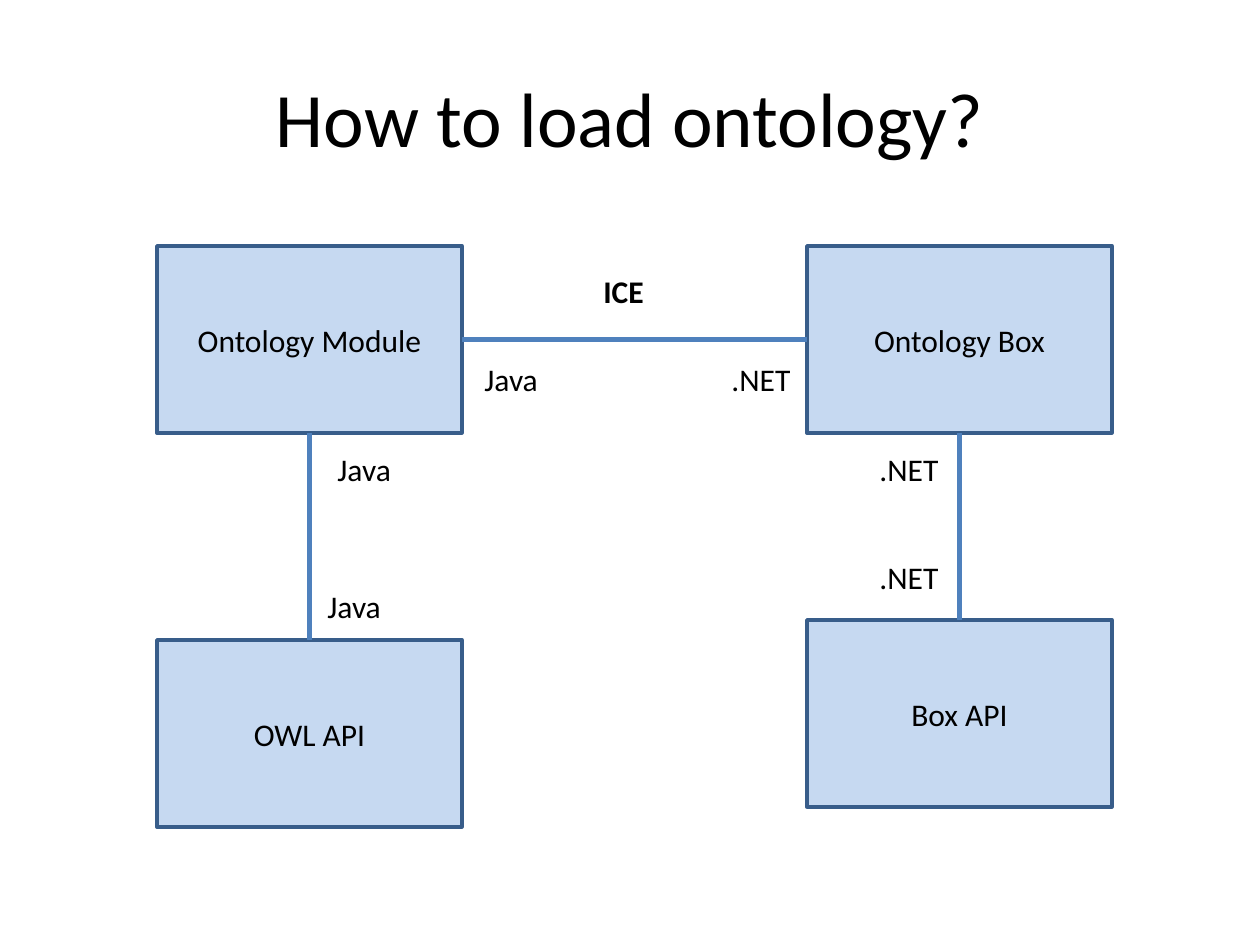
from pptx import Presentation
from pptx.dml.color import RGBColor as Rgb
from pptx.enum.shapes import MSO_CONNECTOR as Conn, MSO_SHAPE as Shape
from pptx.enum.text import MSO_ANCHOR as Anchor, MSO_AUTO_SIZE as Fit, PP_ALIGN as Align
from pptx.oxml.ns import qn
from pptx.util import Emu, Pt
from lxml.etree import SubElement

SCALE = 914400 / 126

THEME = {
    "ink": Rgb.from_string("000000"),
    "fill": Rgb.from_string("C6D9F1"),
    "edge": Rgb.from_string("385D8A"),
    "link": Rgb.from_string("4F81BD"),
    "font": "Calibri",
    "title": Pt(44),
    "body": Pt(18),
    "rim": Pt(2),
    "wire": Pt(3),
}

NODE_W, NODE_H = 305, 187
TOP, RIGHT, BOTTOM, LEFT = 0, 3, 2, 1  # connection sites of a rectangle


def px(*nums):
    return [Emu(round(n * SCALE)) for n in nums]


def style(item, form):
    for name, value in form.items():
        setattr(item, name, value)


def write(shape, text, size, bold=False, align=Align.LEFT, **frame):
    style(shape.text_frame, frame)
    para = shape.text_frame.paragraphs[0]
    para.alignment = align
    run = para.add_run()
    run.text = text
    style(run.font, {"name": THEME["font"], "size": size, "bold": bold})
    run.font.color.rgb = THEME["ink"]


def node(slide, x, y, text):
    box = slide.shapes.add_shape(Shape.RECTANGLE, *px(x, y, NODE_W, NODE_H))
    box.shadow.inherit = False
    box.fill.solid()
    box.fill.fore_color.rgb = THEME["fill"]
    box.line.color.rgb = THEME["edge"]
    box.line.width = THEME["rim"]
    write(box, text, THEME["body"], align=Align.CENTER,
          vertical_anchor=Anchor.MIDDLE, word_wrap=True)
    return box


def label(slide, x, y, w, text, bold=False):
    box = slide.shapes.add_textbox(*px(x, y, w, 50))
    write(box, text, THEME["body"], bold,
          word_wrap=False, auto_size=Fit.SHAPE_TO_FIT_TEXT)


def link(slide, start, exit, end, entry):
    line = slide.shapes.add_connector(Conn.STRAIGHT, 0, 0, 0, 0)
    line.begin_connect(start, exit)
    line.end_connect(end, entry)
    line.line.color.rgb = THEME["link"]
    line.line.width = THEME["wire"]
    SubElement(line._element.spPr, qn("a:effectLst"))


def title(slide, x, y, w, h, text):
    box = slide.shapes.add_textbox(*px(x, y, w, h))
    write(box, text, THEME["title"], align=Align.CENTER,
          vertical_anchor=Anchor.MIDDLE, word_wrap=True)


def stack(slide, x, y, h, names, tags):
    """Two linked nodes, one at each end of a column, with tags on the link."""
    head = node(slide, x, y, names[0])
    foot = node(slide, x, y + h - NODE_H, names[1])
    link(slide, head, BOTTOM, foot, TOP)
    for dx, dy, w, text in tags:
        label(slide, x + dx, y + dy, w, text)
    return head


def bridge(slide, x, y, w, left, right):
    """The link between the two columns, with its tags."""
    link(slide, left, RIGHT, right, LEFT)
    label(slide, x + 129, y + 20, 66, "ICE", bold=True)
    label(slide, x + 10, y + 108, 79, "Java")
    label(slide, x + w - 88, y + 108, 84, ".NET")


def main():
    deck = Presentation()
    deck.slide_width, deck.slide_height = px(1260, 945)
    slide = deck.slides.add_slide(deck.slide_layouts[6])

    # Heading
    title(slide, 63, 38, 1134, 157, "How to load ontology?")

    # Java side and .NET side
    java = stack(slide, 157, 246, 581, ("Ontology Module", "OWL API"),
                 [(168, 198, 79, "Java"), (158, 335, 79, "Java")])
    net = stack(slide, 807, 246, 561, ("Ontology Box", "Box API"),
                [(60, 198, 84, ".NET"), (60, 306, 84, ".NET")])

    # Link across
    bridge(slide, 462, 246, 345, java, net)

    deck.save("out.pptx")


if __name__ == "__main__":
    main()
